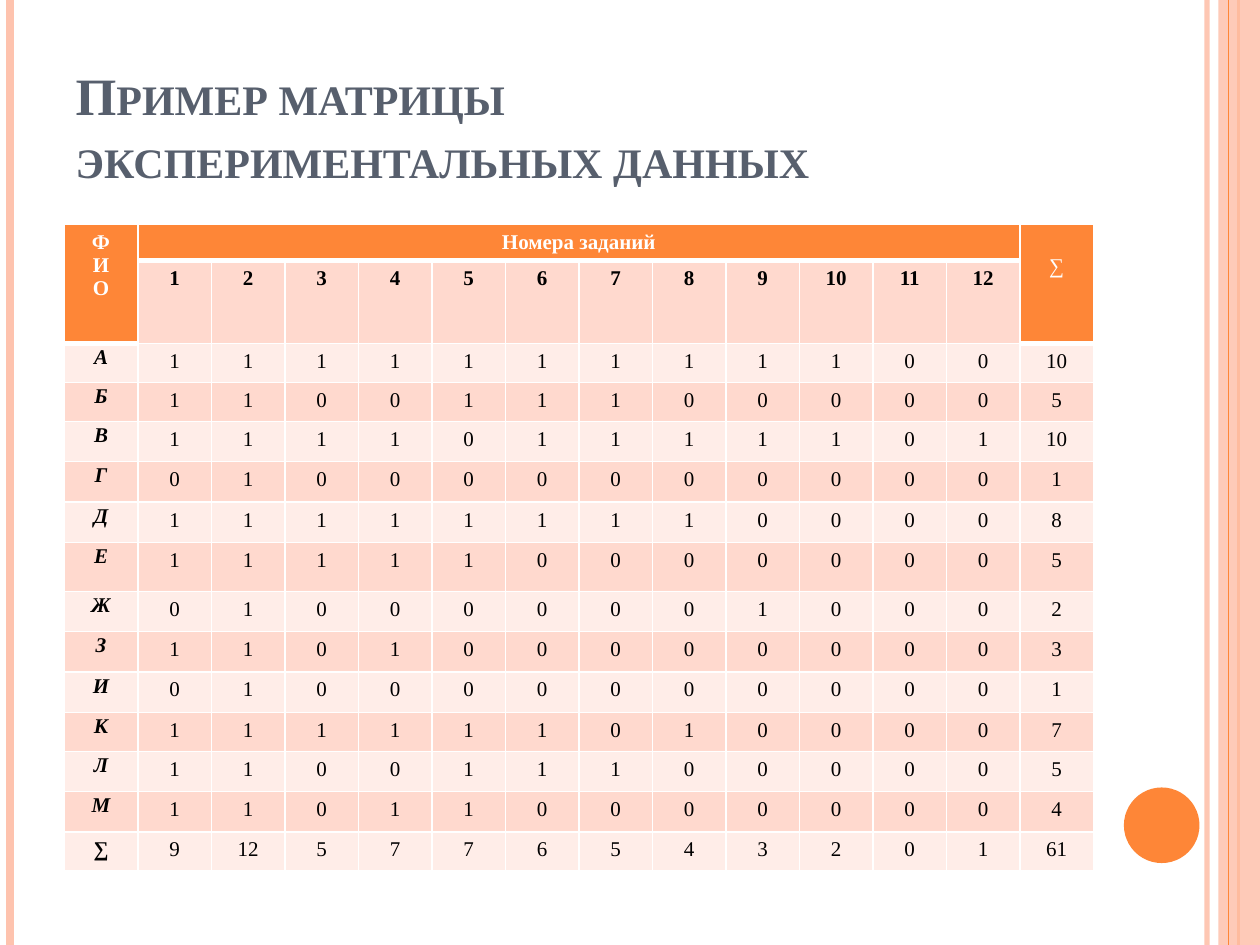
from lxml.etree import SubElement
from pptx import Presentation
from pptx.dml.color import RGBColor
from pptx.enum.shapes import MSO_CONNECTOR as Connector, MSO_SHAPE as Shape
from pptx.enum.text import MSO_ANCHOR as Anchor, PP_ALIGN as Align
from pptx.oxml.ns import qn
from pptx.util import Inches, Pt

WIDTH, HEIGHT = Inches(10), Inches(7.5)
FONT = "Times New Roman"
ORANGE, PEACH, SLATE = "FE8637", "FEC3AE", "575F6D"
WHITE, BLACK = "FFFFFF", "000000"
BANDS = ("FFEDE8", "FFD9CE")

ANSWERS = {
    "А": "111111111100", "Б": "110011100000", "В": "111101111101",
    "Г": "010000000000", "Д": "111111110000", "Е": "111110000000",
    "Ж": "010000001000", "З": "110100000000", "И": "010000000000",
    "К": "111111010000", "Л": "110011100000", "М": "110110000000",
}
TASKS = 12
ROW_HEIGHTS = [0.29, 0.65] + [0.31, 0.31] + [0.32] * 3 + [0.39] + [0.32] * 3 + [0.31, 0.32, 0.32, 0.31]


def paint(color, value, alpha=None):
    """Set a colour from a hex string, with an optional opacity in percent."""
    color.rgb = RGBColor.from_string(value)
    if alpha is not None:
        for tone in color._xFill.iter(qn("a:srgbClr")):
            SubElement(tone, qn("a:alpha"), val=str(alpha * 1000))


def fill_with(part, value, alpha=None):
    """Give a shape or cell a solid fill."""
    part.fill.solid()
    color = part.fill.fore_color
    color.rgb = RGBColor.from_string(value)
    if alpha is not None:
        tone = part._element.spPr.find(".//" + qn("a:srgbClr"))
        SubElement(tone, qn("a:alpha"), val=str(alpha * 1000))


def write(paragraph, text, size, value, bold=False, italic=False):
    """Add one formatted run to a paragraph."""
    run = paragraph.add_run()
    run.text = text
    font = run.font
    font.name, font.size, font.bold, font.italic = FONT, Pt(size), bold, italic
    font.color.rgb = RGBColor.from_string(value)
    return run


def add_stripe(slide, x, value, weight, alpha=None):
    """Draw a full-height vertical line at a share of the slide width."""
    stripe = slide.shapes.add_connector(
        Connector.STRAIGHT, int(WIDTH * x), 0, int(WIDTH * x), HEIGHT)
    stripe.line.width = Pt(weight)
    stripe.line.color.rgb = RGBColor.from_string(value)
    properties = stripe._element.spPr
    if alpha is not None:
        tone = properties.find(".//" + qn("a:srgbClr"))
        SubElement(tone, qn("a:alpha"), val=str(alpha * 1000))
    SubElement(properties, qn("a:effectLst"))


def add_ornament(slide, preset, box, value, alpha=None):
    """Draw a borderless decorative shape in a box."""
    ornament = slide.shapes.add_shape(preset, *map(Inches, box))
    ornament.shadow.inherit = False
    ornament.line.fill.background()
    fill_with(ornament, value, alpha)


def add_frame(slide):
    """Draw the side stripes, band and disc."""
    add_stripe(slide, 0.958, PEACH, 3, 93)
    add_stripe(slide, 0.008, PEACH, 4.5)
    add_stripe(slide, 0.983, ORANGE, 1.5)
    add_ornament(slide, Shape.RECTANGLE, (9.67, 0, 0.33, 7.5), PEACH, 87)
    add_stripe(slide, 0.975, ORANGE, 0.75)
    add_ornament(slide, Shape.OVAL, (8.92, 6.25, 0.6, 0.6), ORANGE)


def place_title(slide, box, lines):
    """Place and format the title placeholder in a box."""
    title = slide.shapes.title
    title.left, title.top, title.width, title.height = map(Inches, box)
    frame = title.text_frame
    frame.word_wrap, frame.vertical_anchor = True, Anchor.BOTTOM
    heading = frame.paragraphs[0]
    heading.alignment = Align.LEFT
    for index, line in enumerate(lines):
        if index:
            heading.add_line_break()
        run = write(heading, line, 30, SLATE, bold=True)
        run.font._element.set("cap", "small")


def border(cell, bottom):
    """Give a cell white borders, with its own bottom weight."""
    properties = cell._tc.get_or_add_tcPr()
    for side, weight in (("L", 1), ("R", 1), ("T", 1), ("B", bottom)):
        edge = SubElement(properties, qn(f"a:ln{side}"), w=str(Pt(weight)))
        solid = SubElement(edge, qn("a:solidFill"))
        SubElement(solid, qn("a:srgbClr"), val=WHITE)


def set_cell(cell, lines, value, bold=False, italic=False, spacing=None):
    """Write centred lines into a cell."""
    frame = cell.text_frame
    for index, line in enumerate(lines):
        paragraph = frame.add_paragraph() if index else frame.paragraphs[0]
        paragraph.alignment = Align.CENTER
        paragraph.line_spacing = spacing
        write(paragraph, line, 12, value, bold, italic)


def add_matrix(slide, left, top, width):
    """Build the score matrix with its row and column totals."""
    columns, rows = TASKS + 2, len(ROW_HEIGHTS)
    matrix = slide.shapes.add_table(
        rows, columns, Inches(left), Inches(top), Inches(width),
        Inches(sum(ROW_HEIGHTS))).table
    matrix.first_row = matrix.horz_banding = False
    for column in matrix.columns:
        column.width = Inches(width / columns)
    for row, height in zip(matrix.rows, ROW_HEIGHTS):
        row.height = Inches(height)

    for r in range(rows):
        for c in range(columns):
            cell = matrix.cell(r, c)
            header = r == 0 or (r == 1 and c in (0, columns - 1))
            border(cell, 3 if header else 1)
            fill_with(cell, ORANGE if header else BANDS[r % 2])

    names, tasks, total = (matrix.cell(0, c) for c in (0, 1, columns - 1))
    names.merge(matrix.cell(1, 0))
    tasks.merge(matrix.cell(0, TASKS))
    total.merge(matrix.cell(1, columns - 1))
    set_cell(names, "ФИО", WHITE, bold=True)
    set_cell(tasks, ["Номера заданий"], WHITE, bold=True)
    set_cell(total, "∑", WHITE)
    total.margin_top = Inches(0.24)
    for number in range(1, TASKS + 1):
        set_cell(matrix.cell(1, number), [str(number)], BLACK, bold=True)

    scores = {name: [int(mark) for mark in marks] for name, marks in ANSWERS.items()}
    scores["∑"] = [sum(marks) for marks in zip(*scores.values())]
    for r, (name, marks) in enumerate(scores.items(), 2):
        set_cell(matrix.cell(r, 0), [name], BLACK, True, True,
                 0.8 if name in ANSWERS else None)
        for c, mark in enumerate(marks + [sum(marks)], 1):
            set_cell(matrix.cell(r, c), [str(mark)], BLACK)


def main():
    """Build the slide and save it."""
    deck = Presentation()
    deck.slide_width, deck.slide_height = WIDTH, HEIGHT
    slide = deck.slides.add_slide(deck.slide_layouts[5])
    add_frame(slide)
    place_title(slide, (0.5, 0.3, 8.17, 1.25),
                ("Пример матрицы ", "экспериментальных данных"))
    add_matrix(slide, 0.51, 1.78, 8.17)
    deck.save("out.pptx")


main()
